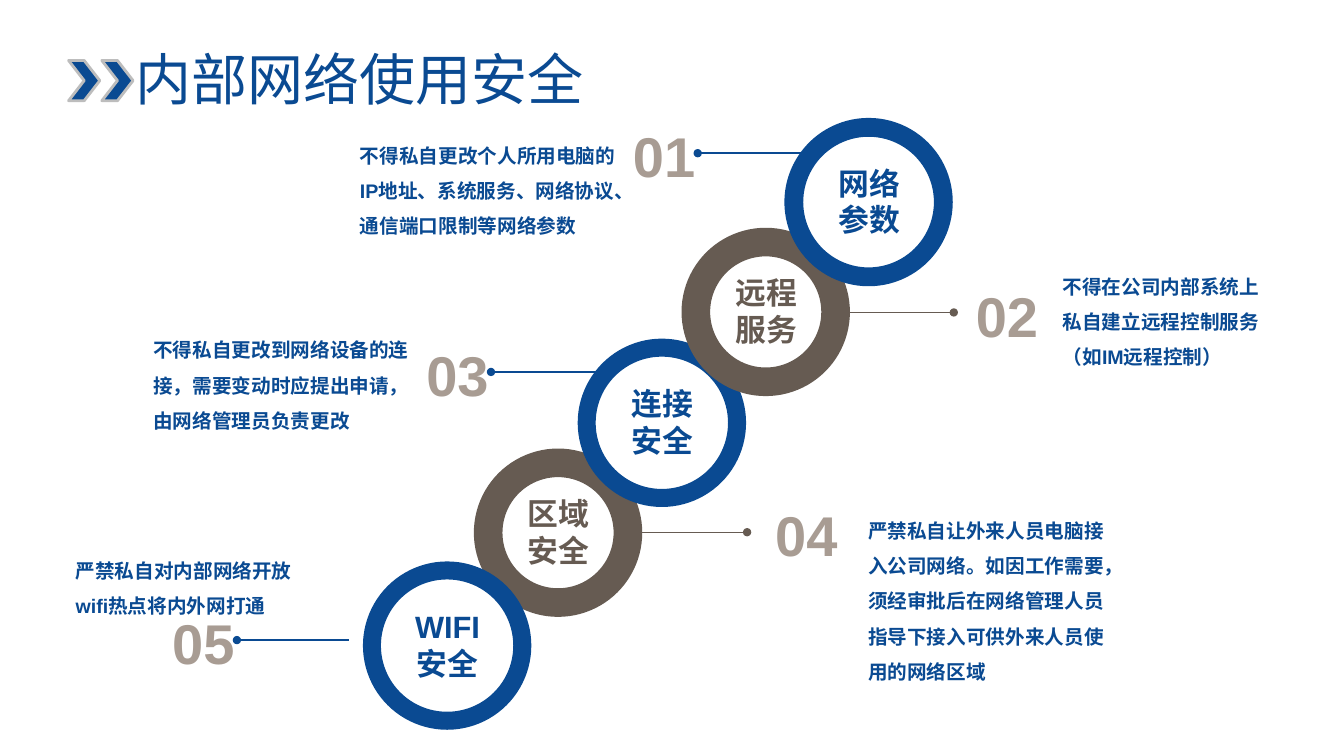
import pptx
import pptx.util
import pptx.dml.color
import pptx.enum.shapes
import pptx.enum.text
import lxml.etree
from pptx.oxml.ns import qn

Inches = pptx.util.Inches
SHAPE = pptx.enum.shapes.MSO_SHAPE
ALIGN = pptx.enum.text.PP_ALIGN
ANCHOR = pptx.enum.text.MSO_ANCHOR

COLOURS = {"blue": "0A4A92", "brown": "665B52", "number": "A89C93", "edge": "BDBDBD"}
RING = 1.67
LEADER = 1.11


def rgb(name):
    return pptx.dml.color.RGBColor.from_string(COLOURS[name])


def add_text(slide, box, text, size, colour, bold=True, inset=0, wrap=True,
             anchor=ANCHOR.TOP, **paragraph_format):
    frame = slide.shapes.add_textbox(*map(Inches, box)).text_frame
    frame_format = {"word_wrap": wrap, "vertical_anchor": anchor}
    if inset is not None:
        for side in ("left", "top", "right", "bottom"):
            frame_format["margin_" + side] = Inches(inset)
    for key, value in frame_format.items():
        setattr(frame, key, value)
    paragraph = frame.paragraphs[0]
    for key, value in paragraph_format.items():
        setattr(paragraph, key, value)
    run = paragraph.add_run()
    run.text = text
    font_format = {"name": "Arial", "size": pptx.util.Pt(size), "bold": bold}
    for key, value in font_format.items():
        setattr(run.font, key, value)
    run.font.color.rgb = rgb(colour)


def add_filled(slide, preset, box, colour, edge=None):
    shape = slide.shapes.add_shape(preset, *map(Inches, box))
    shape.shadow.inherit = False
    shape.fill.solid()
    shape.fill.fore_color.rgb = rgb(colour)
    if edge:
        shape.line.color.rgb = rgb(edge)
        shape.line.width = pptx.util.Pt(2)
    else:
        shape.line.fill.background()
    return shape


def add_leader(slide, start, end, y, colour):
    leader = slide.shapes.add_connector(
        pptx.enum.shapes.MSO_CONNECTOR.STRAIGHT,
        Inches(start), Inches(y), Inches(end), Inches(y))
    leader.line.color.rgb = rgb(colour)
    leader.line.width = pptx.util.Pt(1)
    lxml.etree.SubElement(leader.line._get_or_add_ln(), qn("a:tailEnd"), type="oval")
    lxml.etree.SubElement(leader._element.spPr, qn("a:effectLst"))


def add_header(slide, left, top, width, height, title):
    # Heading with two chevrons
    add_text(slide, (left, top, width, height), title, 40, "blue", bold=False,
             inset=None, anchor=ANCHOR.MIDDLE, alignment=ALIGN.CENTER)
    for index in range(2):
        add_filled(slide, SHAPE.CHEVRON,
                   (left - 0.05 + 0.33 * index, top + 0.02, 0.31, 0.4), "blue", "edge")


def add_step(slide, left, top, number, label, colour, hole, leader, gap, rule, rule_box):
    # Ring and its label
    ring = add_filled(slide, SHAPE.DONUT, (left, top, RING, RING), colour)
    ring.adjustments[0] = hole
    add_text(slide, (left + 0.46, top + 0.46, 0.76, 0.74), label, 22, colour,
             alignment=ALIGN.CENTER)
    # Leader line ending in a dot, number beyond the dot
    start, y = left + leader[0], top + leader[1]
    side = 1 if leader[0] > RING / 2 else -1
    dot = start + side * LEADER
    add_leader(slide, start, dot, y, colour)
    add_text(slide, (dot + gap, y - 0.36, 0.83, 0.77), number, 40, "number",
             inset=None, wrap=False)
    # Rule text
    add_text(slide, rule_box, rule, 14, "blue", line_spacing=1.5)


# Steps from back to front: ring corner, number, label, ring style, leader start, rule
STEPS = [
    (4.7, 4.45, "04", "区域安全", "brown", 0.17, (1.6, 0.83), 0.18,
     "严禁私自让外来人员电脑接入公司网络。如因工作需要，须经审批后在网络管理人员"
     "指导下接入可供外来人员使用的网络区域", (8.61, 5.03, 2.46, 1.73)),
    (5.73, 3.36, "03", "连接安全", "blue", 0.107, (0.25, 0.33), -0.74,
     "不得私自更改到网络设备的连接，需要变动时应提出申请，由网络管理员负责更改",
     (1.52, 3.24, 2.59, 1.02)),
    (6.76, 2.26, "02", "远程服务", "brown", 0.17, (1.59, 0.84), 0.12,
     "不得在公司内部系统上私自建立远程控制服务（如IM远程控制）",
     (10.54, 2.61, 2.13, 1.02)),
    (7.78, 1.17, "01", "网络参数", "blue", 0.112, (0.25, 0.35), -0.74,
     "不得私自更改个人所用电脑的IP地址、系统服务、网络协议、通信端口限制等网络参数",
     (3.57, 1.31, 2.59, 1.02)),
    (3.6, 5.57, "05", "WIFI安全", "blue", 0.107, (-0.14, 0.78), -0.74,
     "严禁私自对内部网络开放wifi热点将内外网打通", (0.75, 5.43, 2.46, 0.66)),
]

deck = pptx.Presentation()
deck.slide_width, deck.slide_height = Inches(13.33), Inches(7.5)
slide = deck.slides.add_slide(deck.slide_layouts[6])
add_header(slide, 0.73, 0.58, 5.67, 0.4, "内部网络使用安全")
for step in STEPS:
    add_step(slide, *step)
deck.save("out.pptx")
